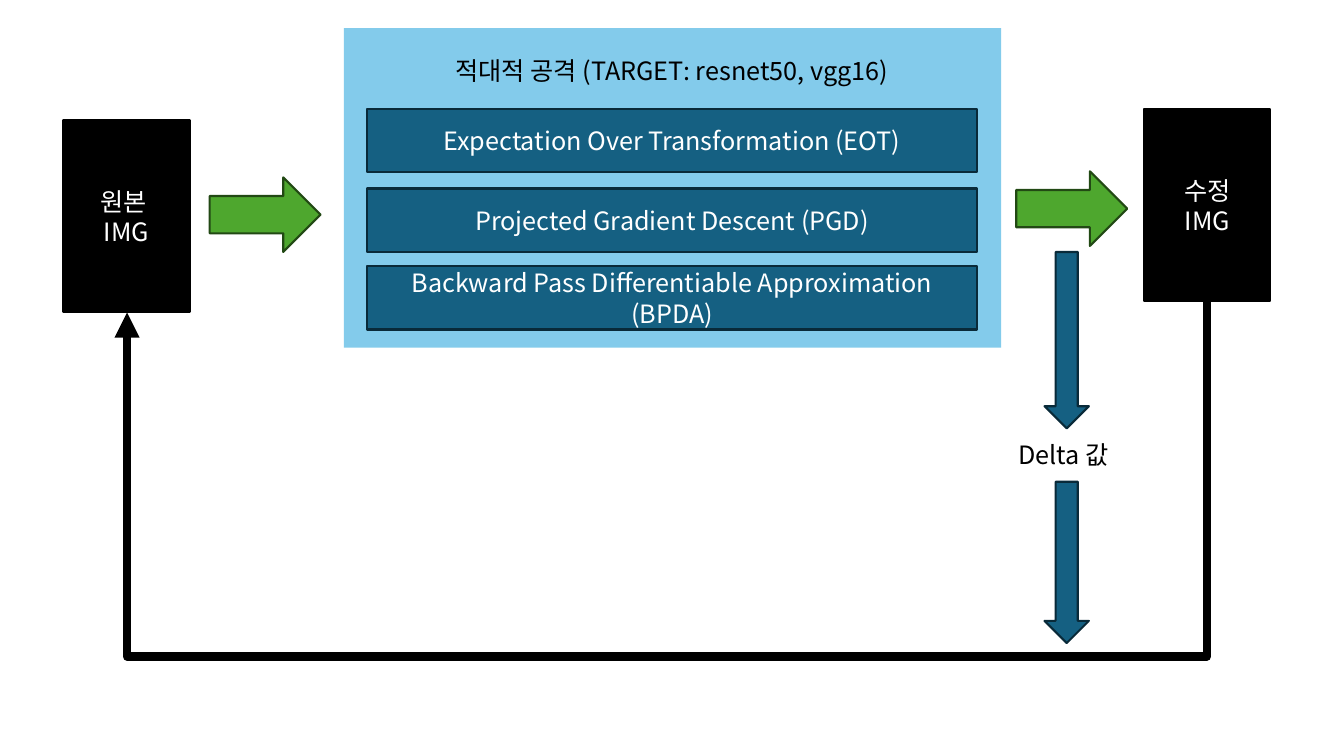
from dataclasses import dataclass

from lxml.etree import SubElement
from pptx import Presentation
from pptx.dml.color import RGBColor
from pptx.enum.shapes import MSO_CONNECTOR, MSO_SHAPE
from pptx.enum.text import MSO_ANCHOR, PP_ALIGN
from pptx.oxml.ns import qn
from pptx.shapes.autoshape import Shape
from pptx.slide import Slide
from pptx.util import Inches, Pt

FONT = "Noto Sans CJK KR"
BLACK, WHITE = "000000", "FFFFFF"
SKY, TEAL, NAVY = "83CBEB", "156082", "092A39"
GREEN, FOREST = "4EA72E", "224914"


@dataclass(frozen=True)
class Block:
    left: float
    top: float
    width: float
    height: float
    fill: str
    outline: str | None = None
    paragraphs: tuple[str, ...] = ()
    geometry: MSO_SHAPE = MSO_SHAPE.RECTANGLE


@dataclass(frozen=True)
class Label:
    left: float
    top: float
    width: float
    height: float
    text: str
    align: PP_ALIGN
    anchor: MSO_ANCHOR


def rgb(color: str) -> RGBColor:
    return RGBColor.from_string(color)


def write(shape: Shape, paragraphs: tuple[str, ...], color: str,
          align: PP_ALIGN, anchor: MSO_ANCHOR) -> None:
    frame = shape.text_frame
    frame.word_wrap = True
    frame.vertical_anchor = anchor
    for index, text in enumerate(paragraphs):
        paragraph = frame.add_paragraph() if index else frame.paragraphs[0]
        paragraph.alignment = align
        for row, line in enumerate(text.split("\n")):
            if row:
                paragraph.add_line_break()
            run = paragraph.add_run()
            run.text = line
            run.font.name = FONT
            run.font.size = Pt(18)
            run.font.color.rgb = rgb(color)
            SubElement(run.font._element, qn("a:ea"), typeface=FONT)


def draw_block(slide: Slide, block: Block) -> None:
    shape = slide.shapes.add_shape(
        block.geometry, Inches(block.left), Inches(block.top),
        Inches(block.width), Inches(block.height))
    shape.shadow.inherit = False
    shape.fill.solid()
    shape.fill.fore_color.rgb = rgb(block.fill)
    if block.outline:
        shape.line.color.rgb = rgb(block.outline)
        shape.line.width = Pt(1.5)
    else:
        shape.line.fill.background()
    write(shape, block.paragraphs, WHITE, PP_ALIGN.CENTER, MSO_ANCHOR.MIDDLE)


def draw_label(slide: Slide, label: Label) -> None:
    box = slide.shapes.add_textbox(
        Inches(label.left), Inches(label.top),
        Inches(label.width), Inches(label.height))
    write(box, (label.text,), BLACK, label.align, label.anchor)


def draw_feedback(slide: Slide, start: tuple[float, float],
                  end: tuple[float, float], floor: float) -> None:
    span, drop = start[0] - end[0], end[1] - start[1]
    left = (start[0] + end[0] - drop) / 2
    top = (start[1] + end[1] - span) / 2
    connector = slide.shapes.add_connector(
        MSO_CONNECTOR.ELBOW, Inches(left), Inches(top),
        Inches(left + drop), Inches(top + span))
    connector.line.color.rgb = rgb(BLACK)
    connector.line.width = Pt(6)
    properties = connector._element.spPr
    properties.find(qn("a:xfrm")).set("rot", str(90 * 60000))
    bend = round((floor - start[1]) / drop * 100000)
    guides = properties.find(qn("a:prstGeom")).get_or_add_avLst()
    SubElement(guides, qn("a:gd"), name="adj1", fmla=f"val {bend}")
    SubElement(properties.find(qn("a:ln")), qn("a:tailEnd"), type="triangle")
    SubElement(properties, qn("a:effectLst"))


PANEL = Block(3.41, 0.28, 6.52, 3.17, SKY)
IMAGES = (
    Block(0.63, 1.19, 1.25, 1.91, BLACK, BLACK, ("원본 ", "IMG")),
    Block(11.35, 1.08, 1.25, 1.91, BLACK, BLACK, ("수정\nIMG",)),
)
ATTACKS = tuple(
    Block(3.64, top, 6.05, 0.63, TEAL, NAVY, (attack,))
    for top, attack in (
        (1.08, "Expectation Over Transformation (EOT)"),
        (1.87, "Projected Gradient Descent (PGD)"),
        (2.64, "Backward Pass Differentiable Approximation (BPDA)"),
    )
)
FLOW_ARROWS = tuple(
    Block(left, top, 1.1, 0.74, GREEN, FOREST, geometry=MSO_SHAPE.RIGHT_ARROW)
    for left, top in ((2.08, 1.76), (10.08, 1.7))
)
DELTA_ARROWS = tuple(
    Block(10.36, top, 0.44, height, TEAL, NAVY, geometry=MSO_SHAPE.DOWN_ARROW)
    for top, height in ((2.5, 1.75), (4.78, 1.6))
)
LABELS = (
    Label(4.24, 0.38, 4.85, 0.63, "적대적 공격 (TARGET: resnet50, vgg16)",
          PP_ALIGN.CENTER, MSO_ANCHOR.MIDDLE),
    Label(10, 4.31, 1.26, 0.4, "Delta 값", PP_ALIGN.LEFT, MSO_ANCHOR.TOP),
)


def main() -> None:
    presentation = Presentation()
    presentation.slide_width = Inches(13.33)
    presentation.slide_height = Inches(7.5)
    slide = presentation.slides.add_slide(presentation.slide_layouts[6])
    for block in (PANEL, *IMAGES, *ATTACKS, *FLOW_ARROWS):
        draw_block(slide, block)
    for label in LABELS:
        draw_label(slide, label)
    draw_feedback(slide, start=(11.97, 2.98), end=(1.26, 3.1), floor=6.51)
    for arrow in DELTA_ARROWS:
        draw_block(slide, arrow)
    presentation.save("out.pptx")


if __name__ == "__main__":
    main()
